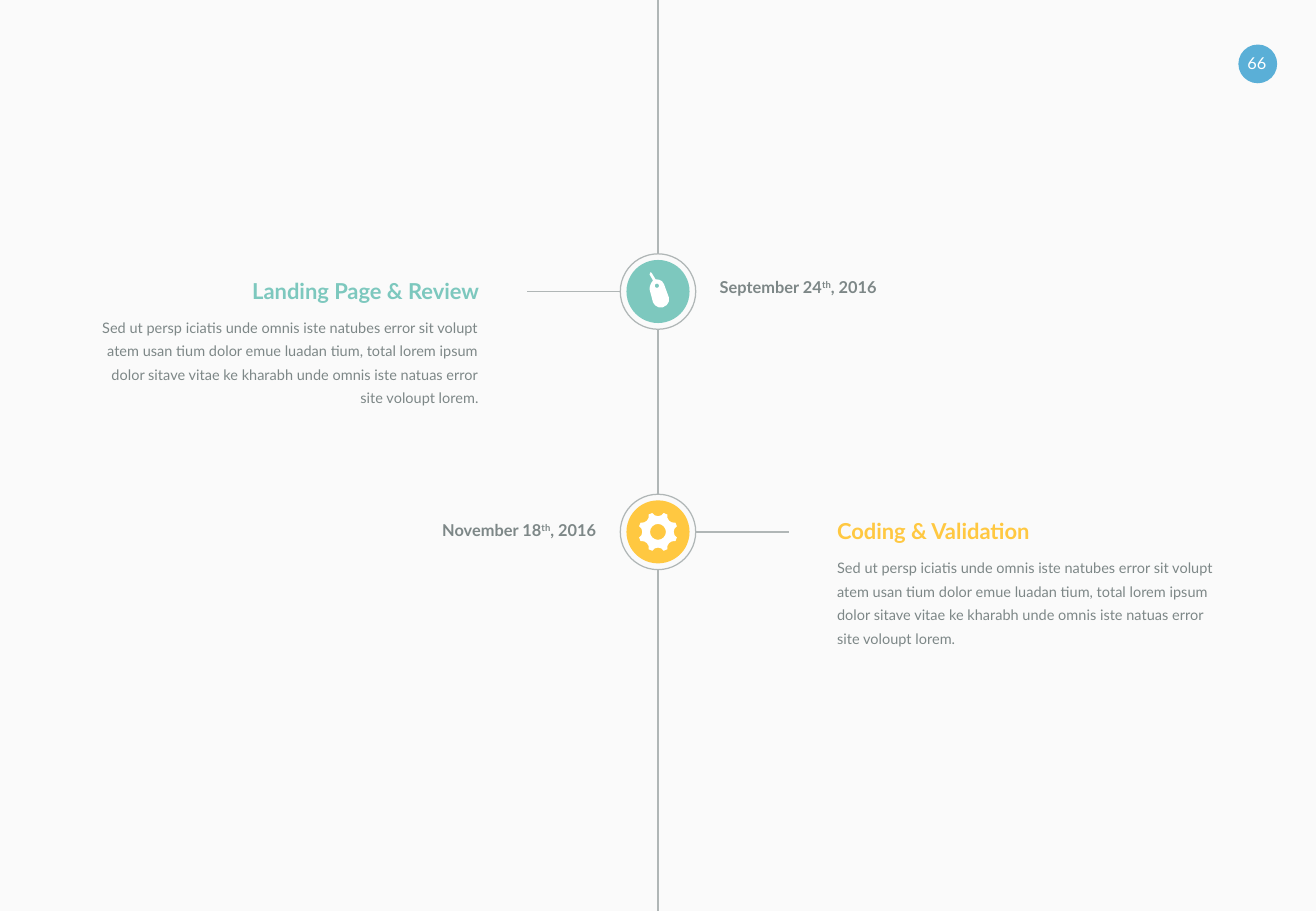
import math

import pptx
import pptx.util
import pptx.dml.color
import pptx.enum.shapes
import pptx.enum.text
import pptx.oxml

Pt = pptx.util.Pt
ALIGN = pptx.enum.text.PP_ALIGN
COLORS = {"back": "FAFAFA", "line": "B0B6B6", "text": "7D8787", "white": "FFFFFF",
          "blue": "5AAFD7", "teal": "7DC8BE", "yellow": "FFC841"}
WIDTH, HEIGHT = 780, 540
AXIS = WIDTH / 2
RING, DISC = 22.35, 18.7
TITLE_SIZE, DATE_SIZE, BODY_SIZE = 13, 9.7, 8.6
BODY = ("Sed ut persp iciatis unde omnis iste natubes error sit volupt atem usan tium "
        "dolor emue luadan tium, total lorem ipsum dolor sitave vitae ke kharabh unde "
        "omnis iste natuas error site voloupt lorem.")
# Each step is an end point, or two control points and an end point.
TAG = [[(6.5, 3.6)], [(3.6, -4.3)], [(2.9, -6.5), (0.7, -7.2), (-1.4, -7.2)],
       [(-3.6, -10.8)], [(-4.3, -11.5)], [(-5, -10.1)], [(-2.9, -6.5)],
       [(-4.3, -5), (-5, -2.9), (-5, -1.4)], [(-2.9, 6.5)],
       [(-2.2, 8.6), (0.7, 10.1), (2.9, 9.4)], [(5.8, 8.6), (7.2, 5.8), (6.5, 3.6)]]


def rgb(name):
    return pptx.dml.color.RGBColor.from_string(COLORS[name])


def add_run(p, text, size, color, bold=False, raised=False):
    r = p.add_run()
    r.text = text
    r.font.name, r.font.size, r.font.bold = "Lato", Pt(size), bold
    r.font.color.rgb = rgb(color)
    if raised:
        r.font._element.set("baseline", "30000")


def add_text(s, x, y, w, h, align, runs, spacing=None):
    tf = s.shapes.add_textbox(Pt(x), Pt(y), Pt(w), Pt(h)).text_frame
    tf.word_wrap = True
    tf.margin_left = tf.margin_top = tf.margin_right = tf.margin_bottom = 0
    p = tf.paragraphs[0]
    p.alignment = align
    if spacing:
        p.line_spacing = spacing
    for run in runs:
        add_run(p, *run)


def add_line(s, x1, y1, x2, y2):
    line = s.shapes.add_connector(pptx.enum.shapes.MSO_CONNECTOR.STRAIGHT,
                                  Pt(x1), Pt(y1), Pt(x2), Pt(y2))
    line.line.color.rgb = rgb("line")
    line.line.width = Pt(1)
    line._element.spPr.append(pptx.oxml.parse_xml(
        '<a:effectLst xmlns:a="http://schemas.openxmlformats.org/drawingml/2006/main"/>'))


def add_circle(s, cx, cy, radius, fill=None):
    """Add a filled circle, or an outlined ring when no fill is given."""
    sp = s.shapes.add_shape(pptx.enum.shapes.MSO_SHAPE.OVAL, Pt(cx - radius),
                            Pt(cy - radius), Pt(2 * radius), Pt(2 * radius))
    sp.shadow.inherit = False
    if fill:
        sp.fill.solid()
        sp.fill.fore_color.rgb = rgb(fill)
        sp.line.fill.background()
    else:
        sp.fill.background()
        sp.line.color.rgb = rgb("line")
        sp.line.width = Pt(0.75)
    return sp


def circle_points(cx, cy, radius, n):
    """Return the circle anticlockwise, as a hole needs."""
    return [(cx + radius * math.cos(2 * math.pi * i / n),
             cy - radius * math.sin(2 * math.pi * i / n)) for i in range(n)]


def tag_contours():
    points = []
    for step in TAG:
        if len(step) == 1:
            points += step
            continue
        curve = [points[-1]] + step
        for t in (1 / 3, 2 / 3, 1):
            weights = ((1 - t) ** 3, 3 * t * (1 - t) ** 2, 3 * t * t * (1 - t), t ** 3)
            points.append(tuple(sum(w * q[axis] for w, q in zip(weights, curve))
                                for axis in (0, 1)))
    return [points[::-1], circle_points(-0.6, -3.4, 1.3, 8)[::-1]]


def gear_contours():
    """Cut eight round notches, evenly spaced, into the rim."""
    notch_centre, notch_radius = 13.4, 4.06
    points = []
    for notch in range(8):
        turn = math.radians(45 * notch)
        for degrees in (-57, -28, 0, 28, 57):
            a = math.radians(degrees)
            x = notch_radius * math.sin(a)
            y = notch_radius * math.cos(a) - notch_centre
            points.append((x * math.cos(turn) - y * math.sin(turn),
                           x * math.sin(turn) + y * math.cos(turn)))
    return [points, circle_points(0, 0, 4.7, 16)]


def add_icon(s, cx, cy, contours):
    def place(points):
        return [(Pt(cx + x), Pt(cy + y)) for x, y in points]

    outline, hole = (place(c) for c in contours)
    builder = s.shapes.build_freeform(*outline[0])
    builder.add_line_segments(outline[1:])
    builder.move_to(*hole[0])
    builder.add_line_segments(hole[1:])
    sp = builder.convert_to_shape()
    sp.shadow.inherit = False
    sp.fill.solid()
    sp.fill.fore_color.rgb = rgb("white")
    sp.line.fill.background()


def add_event(s, cy, side, color, title, day, date_dy, contours):
    """Put the story on the given side of the axis (-1 left, 1 right), the date opposite."""
    def span(direction, gap, width):
        return AXIS + gap if direction > 0 else AXIS - gap - width

    story_align, date_align = (ALIGN.LEFT, ALIGN.RIGHT)[::side]
    add_line(s, AXIS + side * RING, cy, AXIS + side * 77.6, cy)
    add_text(s, span(-side, 36.6, 126.7), cy + date_dy, 126.7, 11.5, date_align,
             [(day, DATE_SIZE, "text", True), ("th", DATE_SIZE, "text", True, True),
              (", 2016", DATE_SIZE, "text", True)])
    x = span(side, 106.2, 225.4)
    add_text(s, x, cy - 8.4, 225.4, 15.8, story_align, [(title, TITLE_SIZE, color, True)])
    add_text(s, x, cy + 12.5, 225.4, 56.9, story_align, [(BODY, BODY_SIZE, "text")], 1.35)
    add_circle(s, AXIS, cy, RING)
    add_circle(s, AXIS, cy, DISC, color)
    add_icon(s, AXIS, cy, contours)


def add_page_number(s, cx, cy, number):
    tf = add_circle(s, cx, cy, 11.5, "blue").text_frame
    tf.margin_left = tf.margin_top = 0
    tf.margin_right = tf.margin_bottom = Pt(1)
    tf.vertical_anchor = pptx.enum.text.MSO_ANCHOR.MIDDLE
    tf.paragraphs[0].alignment = ALIGN.CENTER
    add_run(tf.paragraphs[0], number, DATE_SIZE, "white")


def add_timeline(prs):
    s = prs.slides.add_slide(prs.slide_layouts[6])
    s.background.fill.solid()
    s.background.fill.fore_color.rgb = rgb("back")
    add_page_number(s, 745.5, 37.9, "66")
    review_y, coding_y = 172.8, 315.3
    for top, bottom in ((0, review_y - RING), (review_y + RING, coding_y - RING),
                        (coding_y + RING, HEIGHT)):
        add_line(s, AXIS, top, AXIS, bottom)
    add_event(s, review_y, -1, "teal", "Landing Page & Review", "September 24", -8.4,
              tag_contours())
    add_event(s, coding_y, 1, "yellow", "Coding & Validation", "November 18", -7.1,
              gear_contours())


def main():
    prs = pptx.Presentation()
    prs.slide_width, prs.slide_height = Pt(WIDTH), Pt(HEIGHT)
    add_timeline(prs)
    prs.save("out.pptx")


if __name__ == "__main__":
    main()
